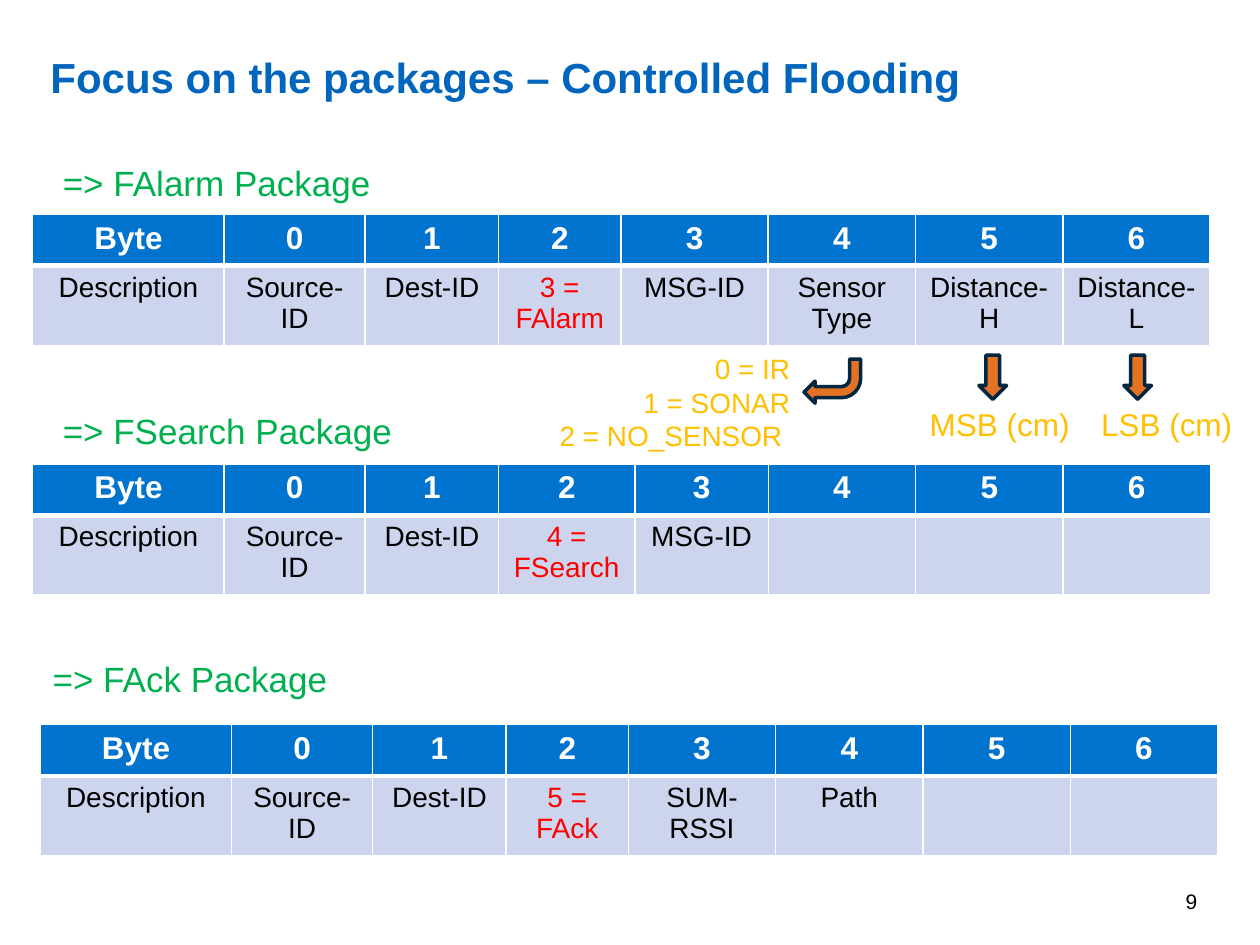
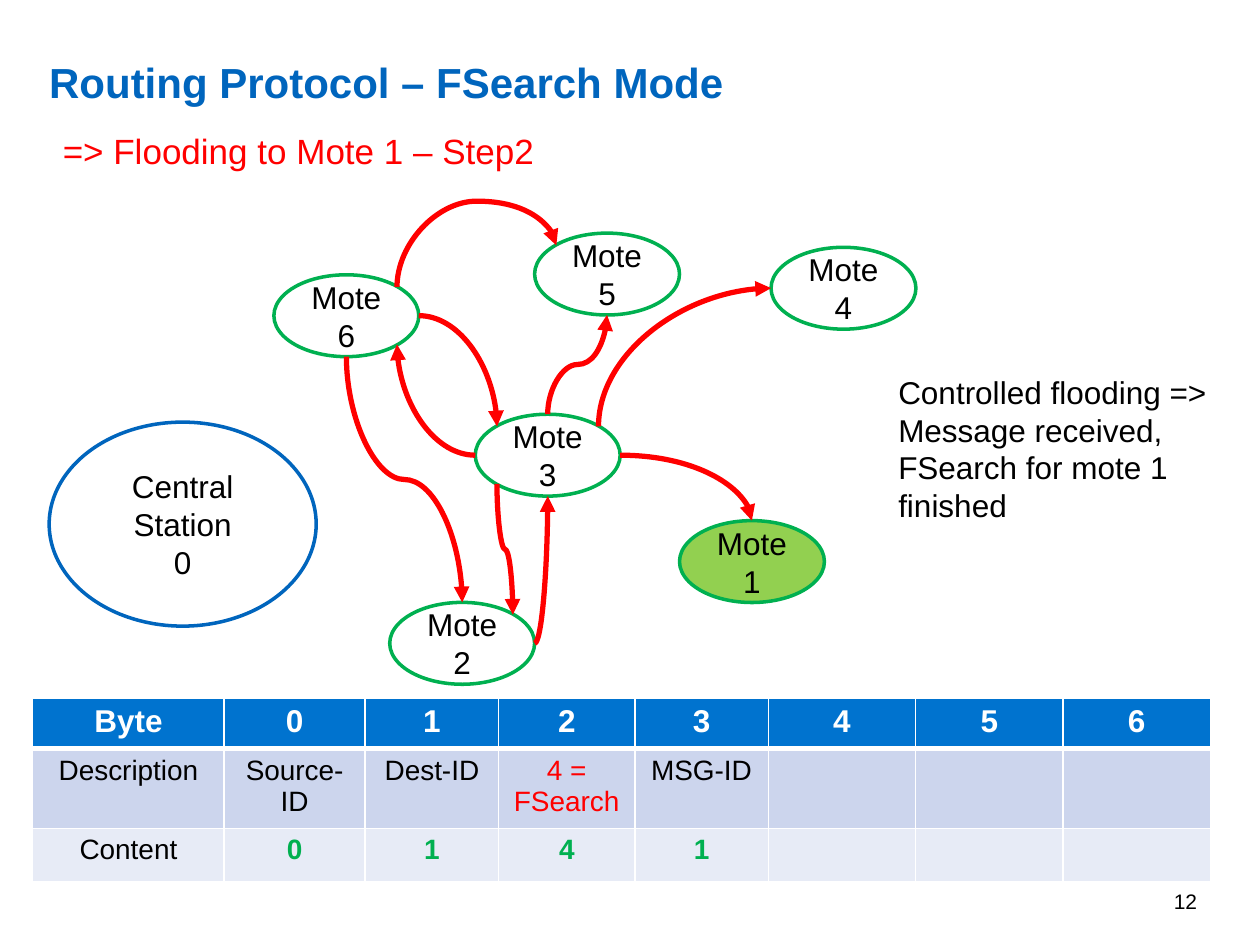
import pptx
import pptx.chart.data
import pptx.dml.color
import pptx.enum.shapes
import pptx.enum.text
import pptx.oxml
import pptx.oxml.ns
import pptx.util
from lxml import etree

Pt = pptx.util.Pt
Shape = pptx.enum.shapes.MSO_SHAPE
Align = pptx.enum.text.PP_ALIGN
Anchor = pptx.enum.text.MSO_ANCHOR
qn = pptx.oxml.ns.qn

FONT = "Arial"
HEX = {
    "title": "0065BD", "header": "0073CF", "band": "CCD5ED", "light": "E7EBF6",
    "green": "00B050", "lime": "92D050", "red": "FF0000", "amber": "FFC000",
    "orange": "E37222", "navy": "002642", "black": "000000", "white": "FFFFFF",
}
COLOR = {name: pptx.dml.color.RGBColor.from_string(value) for name, value in HEX.items()}

# Column widths of the packet tables
NARROW_TYPE = [109.4, 80.6, 76.3, 69.8, 84.2, 84.2, 84.2, 84.2]
WIDE_TYPE = [109.4, 80.6, 76.3, 77.8, 76.3, 84.2, 84.2, 84.2]
HEADER = ["Byte", "0", "1", "2", "3", "4", "5", "6"]


def write(frame, text, size, color, align=Align.LEFT, bold=False):
    """Fill a text frame: one paragraph per line, a vertical bar breaks a line."""
    for number, line in enumerate(text.split("\n")):
        para = frame.paragraphs[0] if number == 0 else frame.add_paragraph()
        para.alignment = align
        for part_number, part in enumerate(line.split("|")):
            if part_number:
                para.add_line_break()
            span = para.add_run()
            span.text = part
            span.font.name = FONT
            span.font.size = Pt(size)
            span.font.bold = bold
            span.font.color.rgb = COLOR[color]


def add_packet_table(page, left, top, widths, heights, rows):
    """Draw a byte header with its description and, if given, content rows."""
    frame = page.shapes.add_table(len(rows) + 1, len(widths), Pt(left), Pt(top),
                                  Pt(sum(widths)), Pt(sum(heights)))
    table = frame.table
    for column, width in zip(table.columns, widths):
        column.width = Pt(width)
    for row, height in zip(table.rows, heights):
        row.height = Pt(height)
    fills = ["header", "band", "light"]
    for r, texts in enumerate([HEADER] + rows):
        for c in range(len(widths)):
            cell = table.cell(r, c)
            cell.fill.solid()
            cell.fill.fore_color.rgb = COLOR[fills[r]]
            # Borders: a thick rule under the header, thin ones elsewhere
            thickness = {"lnL": 1, "lnR": 1, "lnT": 3 if r == 1 else 1, "lnB": 3 if r == 0 else 1}
            properties = cell._tc.get_or_add_tcPr()
            for place, (side, points) in enumerate(thickness.items()):
                border = etree.Element(qn("a:" + side), w=str(Pt(points)))
                fill = etree.SubElement(border, qn("a:solidFill"))
                etree.SubElement(fill, qn("a:srgbClr"), val=HEX["white"])
                properties.insert(place, border)
            if c >= len(texts):
                continue
            if r == 0:
                size, color, bold = 18, "white", True
            elif r == 2 and c > 0:
                size, color, bold = 16, "green", True
            else:
                size, color, bold = 16, "red" if (r, c) == (1, 3) else "black", False
            write(cell.text_frame, texts[c], size, color, Align.CENTER, bold)


# Deck, titles and page numbers
deck = pptx.Presentation()
deck.slide_width, deck.slide_height = Pt(720), Pt(540)
pages = []
for heading, left, top, page_number in [
    ("Focus on the packages – Controlled Flooding", 28.8, 25.9, "9"),
    ("Routing Protocol – FSearch Mode", 28.1, 28.8, "12"),
]:
    page = deck.slides.add_slide(deck.slide_layouts[5])
    pages.append(page)
    title = page.shapes.title
    title.left, title.top, title.width, title.height = Pt(left), Pt(top), Pt(564.5), Pt(28.1)
    frame = title.text_frame
    frame.margin_left = frame.margin_right = frame.margin_top = frame.margin_bottom = 0
    frame.vertical_anchor = Anchor.MIDDLE
    frame.auto_size = pptx.enum.text.MSO_AUTO_SIZE.NONE
    write(frame, heading, 24, "title", bold=True)
    frame.paragraphs[0].line_spacing = 1.25
    box = page.shapes.add_textbox(Pt(523.4), Pt(500.4), Pt(167.8), Pt(28.8))
    box.text_frame.word_wrap = True
    box.text_frame.vertical_anchor = Anchor.MIDDLE
    write(box.text_frame, page_number, 12, "black", Align.RIGHT)
packages_page, routing_page = pages

# Packet tables
for left, top, widths, description in [
    (18.7, 122.4, NARROW_TYPE, ["Description", "Source-ID", "Dest-ID", "3 = FAlarm", "MSG-ID",
                                "Sensor|Type", "Distance-H", "Distance-L"]),
    (18.7, 265, WIDE_TYPE, ["Description", "Source-ID", "Dest-ID", "4 = FSearch", "MSG-ID"]),
    (23, 414, NARROW_TYPE, ["Description", "Source-ID", "Dest-ID", "5 = FAck", "SUM-RSSI", "Path"]),
]:
    add_packet_table(packages_page, left, top, widths, [29.5, 45.4], [description])
add_packet_table(routing_page, 18.7, 398.9, WIDE_TYPE, [27.5, 44.5, 30.5], [
    ["Description", "Source-ID", "Dest-ID", "4 = FSearch", "MSG-ID"],
    ["Content", "0", "1", "4", "1"],
])

# Block arrows below the sensor and distance bytes
for kind, left, top, width, height, turn in [
    (Shape.BENT_ARROW, 459.4, 205.2, 32.4, 25.2, 180),
    (Shape.DOWN_ARROW, 559.4, 203, 15.8, 25.2, 0),
    (Shape.DOWN_ARROW, 642.2, 203, 15.8, 25.2, 0),
]:
    arrow = packages_page.shapes.add_shape(kind, Pt(left), Pt(top), Pt(width), Pt(height))
    arrow.rotation = turn
    arrow.shadow.inherit = False
    arrow.fill.solid()
    arrow.fill.fore_color.rgb = COLOR["orange"]
    arrow.line.color.rgb = COLOR["navy"]
    arrow.line.width = Pt(2)

# Labels and remarks
for page, left, top, width, height, text, size, color, align, wrap in [
    (packages_page, 28.8, 88.6, 191.5, 31.7, "=> FAlarm Package", 20, "green", Align.LEFT, False),
    (packages_page, 28.8, 230.4, 204.5, 31.7, "=> FSearch Package", 20, "green", Align.LEFT, False),
    (packages_page, 23, 372.2, 172.8, 31.7, "=> FAck Package", 20, "green", Align.LEFT, False),
    (packages_page, 311, 197.3, 147.6, 65.5, "0 = IR\n1 = SONAR\n2 = NO_SENSOR ", 16, "amber",
     Align.RIGHT, False),
    (packages_page, 524.2, 228.2, 110.2, 28.8, "MSB (cm)", 18, "amber", Align.LEFT, True),
    (packages_page, 622.1, 228.2, 92.9, 28.8, "LSB (cm)", 18, "amber", Align.LEFT, True),
    (routing_page, 28.8, 70.6, 285.8, 31.7, "=> Flooding to Mote 1 – Step2", 20, "red",
     Align.LEFT, False),
    (routing_page, 506.2, 209.5, 202.3, 94.3,
     "Controlled flooding => Message received, FSearch for mote 1 finished", 18, "black",
     Align.LEFT, True),
]:
    box = page.shapes.add_textbox(Pt(left), Pt(top), Pt(width), Pt(height))
    box.text_frame.word_wrap = wrap
    write(box.text_frame, text, size, color, align)

# Network nodes, keyed by their address
nodes = {}
for address, left, top, width, height, text, fill, outline in [
    (0, 28.1, 241.2, 152.6, 116.6, "Central Station\n0", "white", "title"),
    (6, 156.5, 157, 82.8, 46.8, "Mote 6", "white", "green"),
    (5, 305.5, 133.2, 82.8, 46.8, "Mote 5", "white", "green"),
    (2, 222.7, 344.2, 82.8, 46.8, "Mote 2", "white", "green"),
    (4, 440.6, 141.3, 82.8, 46.8, "Mote 4", "white", "green"),
    (3, 271.6, 236.7, 82.8, 46.8, "Mote 3", "white", "green"),
    (1, 388.3, 297.5, 82.8, 46.8, "Mote 1", "lime", "green"),
]:
    node = routing_page.shapes.add_shape(Shape.OVAL, Pt(left), Pt(top), Pt(width), Pt(height))
    node.shadow.inherit = False
    node.fill.solid()
    node.fill.fore_color.rgb = COLOR[fill]
    node.line.color.rgb = COLOR[outline]
    node.line.width = Pt(2)
    node.text_frame.word_wrap = True
    node.text_frame.vertical_anchor = Anchor.MIDDLE
    write(node.text_frame, text, 18, "black", Align.CENTER)
    nodes[address] = node

# Connection sites of an oval, counterclockwise from the top, as shares of its size
SITES = [(0.5, 0), (0.15, 0.15), (0, 0.5), (0.15, 0.85),
         (0.5, 1), (0.85, 0.85), (1, 0.5), (0.85, 0.15)]

# Flooding messages: sender, its site, receiver, its site, bends, bend position
for sender, start_site, receiver, end_site, bends, bend_position in [
    (6, 7, 5, 1, 3, 206000),
    (6, 6, 3, 1, 2, None),
    (6, 4, 2, 0, 3, None),
    (3, 0, 5, 4, 3, None),
    (3, 7, 4, 2, 2, None),
    (3, 6, 1, 0, 2, None),
    (3, 3, 2, 7, 3, None),
    (2, 6, 3, 4, 2, None),
    (3, 2, 6, 5, 2, None),
]:
    (x1, y1), (x2, y2) = [
        (node.left + node.width * SITES[site][0], node.top + node.height * SITES[site][1])
        for node, site in [(nodes[sender], start_site), (nodes[receiver], end_site)]
    ]
    message = routing_page.shapes.add_connector(
        pptx.enum.shapes.MSO_CONNECTOR.CURVE, 0, 0, 0, 0)
    message.begin_connect(nodes[sender], 0)
    message.end_connect(nodes[receiver], 0)
    element = message._element
    for tag, site in [("a:stCxn", start_site), ("a:endCxn", end_site)]:
        element.find(".//" + qn(tag)).set("idx", str(site))

    # A curve that leaves sideways is flipped, one that leaves up or down is also turned
    width, height = abs(x2 - x1), abs(y2 - y1)
    if start_site in (2, 6):
        turn = 180 if x2 < x1 else 0
        flips = ["flipV"] if y2 < y1 and x2 > x1 else []
    else:
        width, height = height, width
        turn, flips = (90, ["flipH", "flipV"]) if y2 < y1 else (270, ["flipH"])
    transform = element.spPr.find(qn("a:xfrm"))
    for flip in ("flipH", "flipV"):
        transform.set(flip, "1" if flip in flips else "0")
    transform.set("rot", str(turn * 60000))
    message.left, message.top = int((x1 + x2 - width) / 2), int((y1 + y2 - height) / 2)
    message.width, message.height = int(width), int(height)

    geometry = element.spPr.find(qn("a:prstGeom"))
    geometry.set("prst", f"curvedConnector{bends}")
    if bend_position:
        etree.SubElement(geometry.find(qn("a:avLst")), qn("a:gd"),
                         name="adj1", fmla=f"val {bend_position}")
    message.line.color.rgb = COLOR["red"]
    message.line.width = Pt(3)
    etree.SubElement(message.line._get_or_add_ln(), qn("a:tailEnd"), type="triangle")
    etree.SubElement(element.spPr, qn("a:effectLst"))

deck.save("out.pptx")
